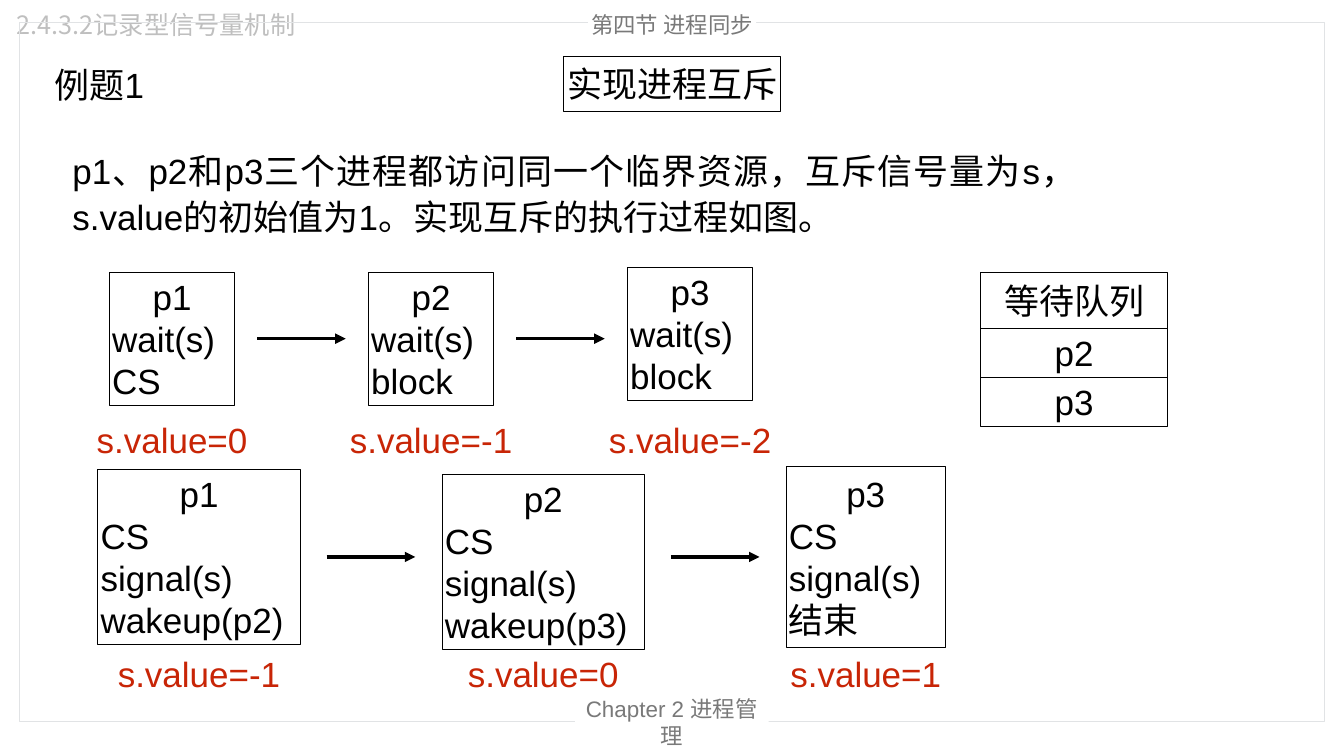
"""Build the slide on process mutual exclusion with a record semaphore."""
from lxml.etree import SubElement
from pptx import Presentation
from pptx.dml.color import RGBColor
from pptx.enum.shapes import MSO_CONNECTOR, MSO_SHAPE
from pptx.enum.text import MSO_ANCHOR, MSO_AUTO_SIZE, PP_ALIGN
from pptx.oxml.ns import qn
from pptx.util import Pt

BLACK = RGBColor(0x00, 0x00, 0x00)
WHITE = RGBColor(0xFF, 0xFF, 0xFF)
RED = RGBColor(0xC8, 0x25, 0x06)
GREY = RGBColor(0x79, 0x79, 0x79)
PALE = RGBColor(0xBF, 0xBF, 0xBF)
FRAME = RGBColor(0xE1, 0xE3, 0xE5)
LATIN, HAN = "Arial", "Noto Sans CJK SC"


def write(shape, text, size=50, color=BLACK, face=LATIN, wrap=False, align=PP_ALIGN.CENTER):
    """Fill a shape with text; lines after the first are set left."""
    frame = shape.text_frame
    frame.text = text
    frame.word_wrap = wrap
    frame.auto_size = MSO_AUTO_SIZE.NONE
    frame.vertical_anchor = MSO_ANCHOR.MIDDLE
    frame.margin_left = frame.margin_right = Pt(4)
    frame.margin_top = frame.margin_bottom = Pt(4)
    for i, para in enumerate(frame.paragraphs):
        para.alignment = PP_ALIGN.LEFT if i else align
        for run in para.runs:
            run.font.size = Pt(size)
            run.font.name = face
            run.font.color.rgb = color
            SubElement(run.font._element, qn("a:ea"), typeface=HAN)


def add_box(area, line=BLACK, fill=None):
    """Add a flat rectangle."""
    box = slide.shapes.add_shape(MSO_SHAPE.RECTANGLE, *map(Pt, area))
    box.shadow.inherit = False
    if fill is None:
        box.fill.background()
    else:
        box.fill.solid()
        box.fill.fore_color.rgb = fill
    if line is None:
        box.line.fill.background()
    else:
        box.line.color.rgb = line
        box.line.width = Pt(1)
    return box


deck = Presentation()
deck.slide_width, deck.slide_height = Pt(1920), Pt(1080)
slide = deck.slides.add_slide(deck.slide_layouts[5])

title = slide.shapes.title
title.left, title.top, title.width, title.height = Pt(20), Pt(8.6), Pt(426), Pt(52)
write(title, "2.4.3.2记录型信号量机制", 36, PALE, HAN, align=PP_ALIGN.LEFT)

border = add_box((28, 32.4, 1864, 998.6), FRAME)
border.line.width = Pt(1.5)
foot = add_box((821.5, 1005, 276.5, 53.3), None, WHITE)
write(foot, "Chapter 2 进程管理", 32, GREY, wrap=True)
head = add_box((840.2, 8.6, 240, 53.3), None, WHITE)
write(head, "第四节 进程同步", 32, GREY)

case = slide.shapes.add_textbox(Pt(70.6), Pt(78.5), Pt(142.6), Pt(84.2))
write(case, "例题1", wrap=True)
write(add_box((805, 80, 310.3, 79.2)), "实现进程互斥")

body = slide.shapes.add_textbox(Pt(99.4), Pt(195.8), Pt(1442), Pt(154.8))
write(body, "p1、p2和p3三个进程都访问同一个临界资源，互斥信号量为s，"
      "s.value的初始值为1。实现互斥的执行过程如图。", wrap=True, align=PP_ALIGN.JUSTIFY)
body.text_frame.paragraphs[0].line_spacing = 1.1

rows = [
    (156.2, 370, 483.8, 31.7, 594, [
        (389.5, 179.3, 189.4, "p1\nwait(s)\nCS", "s.value=0"),
        (389.5, 179.3, 189.4, "p2\nwait(s)\nblock", "s.value=-1"),
        (382.3, 179.3, 189.4, "p3\nwait(s)\nblock", "s.value=-2")]),
    (139.7, 491.7, 795.6, 37.5, 928.8, [
        (671, 289.4, 249, "p1\nCS\nsignal(s)\nwakeup(p2)", "s.value=-1"),
        (678.2, 289.4, 249, "p2\nCS\nsignal(s)\nwakeup(p3)", "s.value=0"),
        (666, 227.5, 259, "p3\nCS\nsignal(s)\n结束", "s.value=1")]),
]
for left, step, mid, gap, base, cells in rows:
    for i, (top, width, height, text, value) in enumerate(cells):
        x = left + i * step
        write(add_box((x, top, width, height)), text, wrap=True)
        span = 245 if "-" in value else 228
        label = slide.shapes.add_textbox(
            Pt(x + (width - span) / 2), Pt(base), Pt(span), Pt(67.7))
        write(label, value, color=RED)
        if i < 2:
            start = x + width + gap
            arrow = slide.shapes.add_connector(
                MSO_CONNECTOR.STRAIGHT, Pt(start), Pt(mid), Pt(start + 126.7), Pt(mid))
            arrow.line.color.rgb = BLACK
            arrow.line.width = Pt(5)
            SubElement(arrow.line._get_or_add_ln(), qn("a:tailEnd"), type="triangle")
            SubElement(arrow._element.spPr, qn("a:effectLst"))

queue = [(389.5, 79.2, "等待队列"), (469.4, 69.5, "p2"), (539.3, 69.5, "p3")]
for top, height, text in queue:
    write(add_box((1401, top, 267, height)), text, wrap=True)

deck.save("out.pptx")
